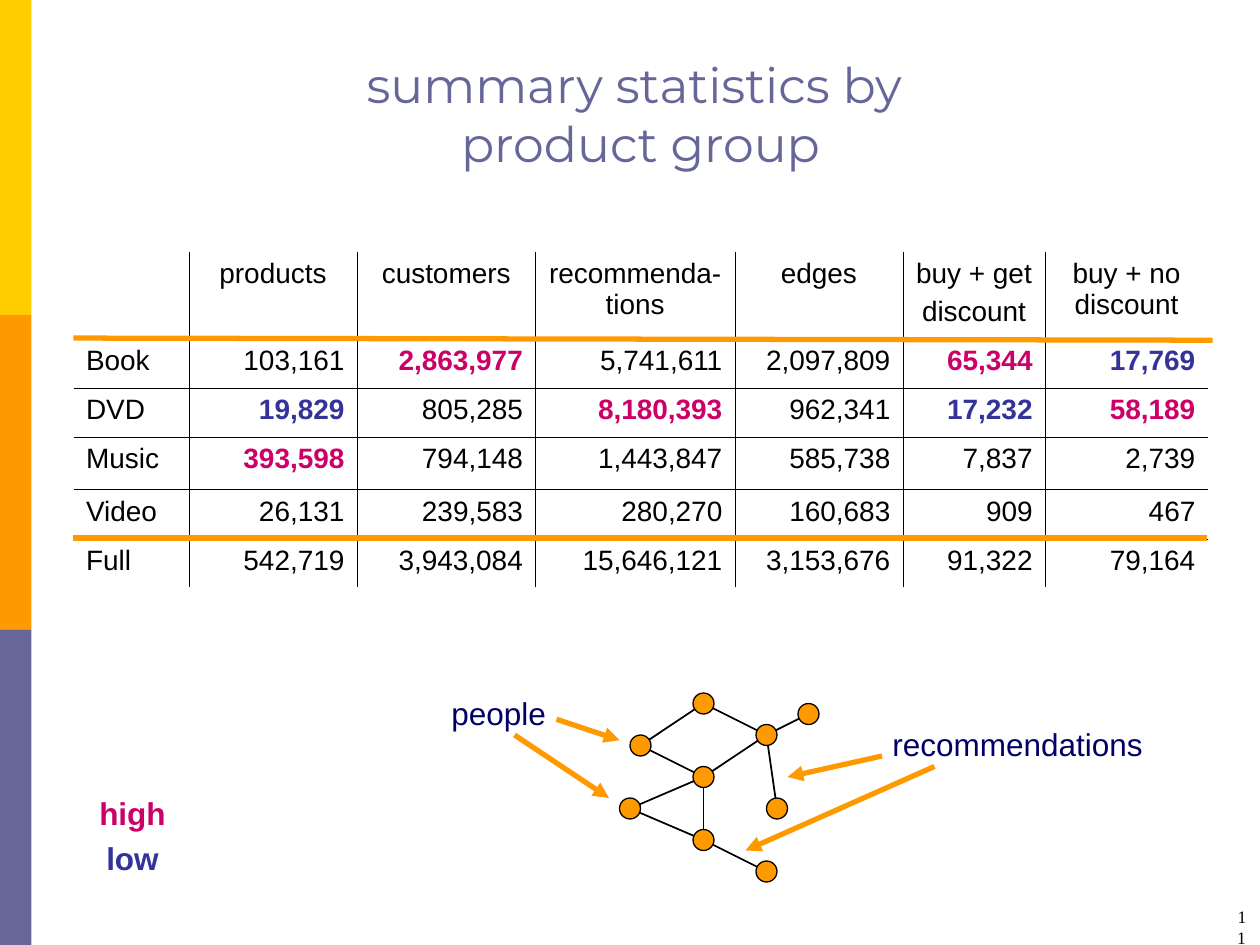
from dataclasses import dataclass
from typing import NamedTuple

from lxml import etree
from pptx import Presentation
from pptx.dml.color import RGBColor
from pptx.enum.shapes import MSO_CONNECTOR, MSO_SHAPE
from pptx.enum.text import MSO_ANCHOR, MSO_AUTO_SIZE, PP_ALIGN
from pptx.oxml.ns import qn
from pptx.util import Inches, Pt

LEFT, MID, RIGHT = PP_ALIGN.LEFT, PP_ALIGN.CENTER, PP_ALIGN.RIGHT
RECT, OVAL = MSO_SHAPE.RECTANGLE, MSO_SHAPE.OVAL
LINE = MSO_CONNECTOR.STRAIGHT
BOTTOM = MSO_ANCHOR.BOTTOM
FIT, FIXED = MSO_AUTO_SIZE.SHAPE_TO_FIT_TEXT, MSO_AUTO_SIZE.NONE


@dataclass(frozen=True)
class Theme:
    black: str = "000000"
    gold: str = "FFCC00"
    orange: str = "FF9900"
    slate: str = "666699"
    navy: str = "000066"
    high: str = "CC0066"
    low: str = "333399"
    head: str = "Montserrat"
    body: str = "Arial"
    serif: str = "Times New Roman"
    title: float = 28
    label: float = 18
    cell: float = 16
    small: float = 10
    rule: float = 3
    edge: float = 1
    ring: float = 0.75
    grid: float = 0.45


class Style(NamedTuple):
    size: float
    color: str
    font: str
    bold: bool = False


class Box(NamedTuple):
    x: float
    y: float
    w: float
    h: float


class Stroke(NamedTuple):
    x1: float
    y1: float
    x2: float
    y2: float


T = Theme()
BASE = Style(T.cell, T.black, T.body)
MARKS = {"+": BASE._replace(color=T.high, bold=True),
         "-": BASE._replace(color=T.low, bold=True)}

# The page is a grid of 120 columns by 90 rows, twelve to the inch
COLS, ROWS = 120, 90

WIDTHS = (11, 16, 17, 19, 16, 13.55, 15.5)
HEIGHTS = (8.25, 4.7, 4.7, 5, 4.7, 4.6)
# A leading + marks a high value, a leading - a low one
STATS = (
    ("", "products", "customers", "recommenda-tions", "edges",
     "buy + get\ndiscount", "buy + no discount"),
    ("Book", "103,161", "+2,863,977", "5,741,611", "2,097,809", "+65,344", "-17,769"),
    ("DVD", "-19,829", "805,285", "+8,180,393", "962,341", "-17,232", "+58,189"),
    ("Music", "+393,598", "794,148", "1,443,847", "585,738", "7,837", "2,739"),
    ("Video", "26,131", "239,583", "280,270", "160,683", "909", "467"),
    ("Full", "542,719", "3,943,084", "15,646,121", "3,153,676", "91,322", "79,164"),
)
RULES = (Stroke(7, 51.25, 115, 51.25), Stroke(7, 32.2, 115.5, 32.4))

# Centres of the people in the network, and who is linked to whom
NODES = ((61, 71), (60, 77), (67, 74), (67, 80), (73, 70),
         (74, 77), (67, 67), (73, 83), (77, 68))
EDGES = ((0, 2), (2, 4), (4, 8), (2, 3), (1, 2),
         (1, 3), (0, 6), (6, 4), (3, 7), (4, 5))
ARROWS = (Stroke(49, 70, 58, 76), Stroke(53, 68.5, 59, 70.5),
          Stroke(84, 72, 75, 74), Stroke(89, 73, 71, 81))


def unit(n: float) -> int:
    return Inches(round(n / 12, 4))


def place(box) -> list:
    return [unit(n) for n in box]


def ink(code: str) -> RGBColor:
    return RGBColor.from_string(code)


def write(para, text: str, style: Style, align=LEFT) -> None:
    para.alignment = align
    run = para.add_run()
    run.text = text
    font = run.font
    font.size, font.name, font.bold = Pt(style.size), style.font, style.bold
    font.color.rgb = ink(style.color)


def fill_text(frame, lines: list, align, gap: float) -> None:
    for i, (text, style) in enumerate(lines):
        para = frame.add_paragraph() if i else frame.paragraphs[0]
        if i:
            para.space_before = Pt(gap)
        write(para, text, style, align)


def add_label(shapes, box: Box, lines: list, align=LEFT) -> None:
    frame = shapes.add_textbox(*place(box)).text_frame
    frame.word_wrap, frame.auto_size = False, FIT
    fill_text(frame, lines, align, 4.5)


def add_block(shapes, kind, box: Box, color: str, ring: float = 0) -> None:
    shape = shapes.add_shape(kind, *place(box))
    shape.shadow.inherit = False
    shape.fill.solid()
    shape.fill.fore_color.rgb = ink(color)
    if ring:
        shape.line.width = Pt(ring)
        shape.line.color.rgb = ink(T.black)
    else:
        shape.line.fill.background()


def add_line(shapes, ends: Stroke, color: str, width: float, arrow=False) -> None:
    line = shapes.add_connector(LINE, *place(ends))
    line.line.width = Pt(width)
    line.line.color.rgb = ink(color)
    props = line._element.spPr
    if arrow:
        etree.SubElement(props.find(qn("a:ln")), qn("a:tailEnd"), type="triangle")
    etree.SubElement(props, qn("a:effectLst"))


def set_edges(cell, shown: dict) -> None:
    props = cell._tc.get_or_add_tcPr()
    for i, (side, on) in enumerate(shown.items()):
        edge = etree.Element(qn(f"a:ln{side}"), w=str(Pt(T.grid)))
        paint = etree.SubElement(edge, qn("a:solidFill" if on else "a:noFill"))
        if on:
            etree.SubElement(paint, qn("a:srgbClr"), val=T.black)
        props.insert(i, edge)


def add_stats(shapes, box: Box) -> None:
    table = shapes.add_table(len(STATS), len(WIDTHS), *place(box)).table
    table.first_row = table.horz_banding = False
    for col, width in zip(table.columns, WIDTHS):
        col.width = unit(width)
    for row, height in zip(table.rows, HEIGHTS):
        row.height = unit(height)
    for r, row in enumerate(STATS):
        for c, text in enumerate(row):
            cell = table.cell(r, c)
            cell.fill.background()
            set_edges(cell, {"L": c > 0, "R": c < len(WIDTHS) - 1,
                             "T": r > 0, "B": r < len(STATS) - 1})
            style = MARKS.get(text[:1], BASE)
            align = MID if r == 0 else RIGHT if c else LEFT
            if text:
                lines = [(part, style) for part in text.lstrip("+-").split("\n")]
                fill_text(cell.text_frame, lines, align, 4)


def main() -> None:
    deck = Presentation()
    deck.slide_width, deck.slide_height = unit(COLS), unit(ROWS)
    slide = deck.slides.add_slide(deck.slide_layouts[5])
    shapes = slide.shapes

    # Side bars
    for i, color in enumerate((T.gold, T.orange, T.slate)):
        add_block(shapes, RECT, Box(0, i * ROWS / 3, 3, ROWS / 3), color)

    # Title
    title = shapes.title
    title.left, title.top, title.width, title.height = place(Box(7, 3, 108, 14))
    frame = title.text_frame
    frame.vertical_anchor, frame.auto_size = BOTTOM, FIXED
    head, style = frame.paragraphs[0], Style(T.title, T.slate, T.head)
    write(head, "summary statistics by ", style, MID)
    head.add_line_break()
    write(head, "product group", style, MID)

    # Table, colour key and heavy rules
    add_stats(shapes, Box(7, 24, sum(WIDTHS), sum(HEIGHTS)))
    key = Style(T.label, T.high, T.body, True)
    add_label(shapes, Box(8.25, 75, 8.75, 9.25),
              [("high", key), ("low", key._replace(color=T.low))], MID)
    for ends in RULES:
        add_line(shapes, ends, T.orange, T.rule)

    # Network of people
    net = shapes.add_group_shape().shapes
    for a, b in EDGES:
        add_line(net, Stroke(*NODES[a], *NODES[b]), T.black, T.edge)
    for x, y in NODES:
        add_block(net, OVAL, Box(x - 1, y - 1, 2, 2), T.orange, T.ring)

    # Labels and arrows
    note = Style(T.label, T.navy, T.body)
    add_label(shapes, Box(41.8, 65.5, 11.6, 4.8), [("people", note)])
    add_label(shapes, Box(83.8, 68.5, 27, 4.8), [("recommendations", note)])
    for ends in ARROWS:
        add_line(shapes, ends, T.orange, T.rule, arrow=True)

    # Page number
    frame = shapes.add_textbox(*place(Box(114.6, 85.7, 5, 4))).text_frame
    frame.word_wrap = True
    para = frame.paragraphs[0]
    write(para, "11", Style(T.small, T.black, T.serif), RIGHT)
    para._p.get_or_add_pPr().set("marL", str(Inches(0.24)))

    deck.save("out.pptx")


if __name__ == "__main__":
    main()
